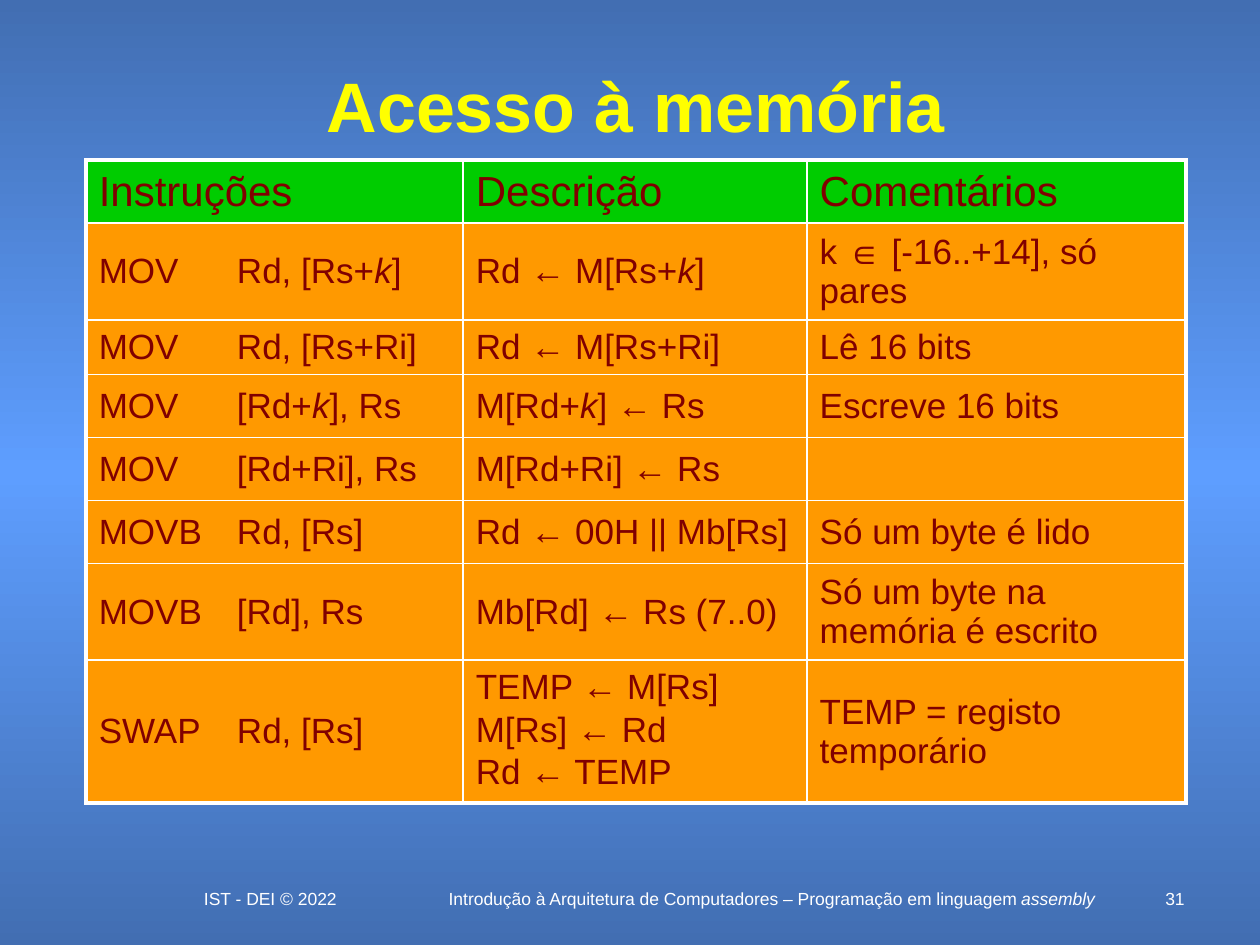
"""Build the slide on memory access instructions."""
import copy
from dataclasses import dataclass

import lxml.etree
import pptx
import pptx.dml.color
import pptx.enum.text
import pptx.oxml.ns
import pptx.util

Pt = pptx.util.Pt
qn = pptx.oxml.ns.qn
Align = pptx.enum.text.PP_ALIGN
Anchor = pptx.enum.text.MSO_ANCHOR


@dataclass(frozen=True)
class Theme:
    font: str = "Arial"
    title: str = "FFFF00"
    footer: str = "FFFFFF"
    table_text: str = "800000"
    header_fill: str = "00CC00"
    body_fill: str = "FF9900"
    border: str = "FFFFFF"
    background: tuple = ("426EB2", "5E9EFF", "426EB2")
    title_size: int = 40
    header_size: int = 24
    body_size: int = 20
    footer_size: int = 10
    outer_line: float = 2.25
    inner_line: float = 1


THEME = Theme()
ITALIC_MARK = "*"
TITLE = ("Acesso à memória", (37.5, 36, 651.5, 48))
FOOTERS = [
    ("Introdução à Arquitetura de Computadores – Programação em linguagem *assembly*",
     (248.5, 504, 385, 18), Align.CENTER),
    ("31", (653.75, 504, 30.25, 12), Align.RIGHT),
    ("IST - DEI © 2022 ", (95.75, 504, 120.25, 18), Align.CENTER),
]
TABLE_LEFT, TABLE_TOP = 49.25, 91.5
COLUMN_WIDTHS = [79, 136.5, 196.5, 216.5]
ROWS = [
    (36, ["Instruções", "", "Descrição", "Comentários"]),
    (55, ["MOV", "Rd, [Rs+*k*]", "Rd ← M[Rs+*k*]", "k ∈ [-16..+14], só pares"]),
    (31.25, ["MOV", "Rd, [Rs+Ri]", "Rd ← M[Rs+Ri]", "Lê 16 bits"]),
    (36, ["MOV", "[Rd+*k*], Rs", "M[Rd+*k*] ← Rs", "Escreve 16 bits"]),
    (36, ["MOV", "[Rd+Ri], Rs", "M[Rd+Ri] ← Rs", ""]),
    (36, ["MOVB", "Rd, [Rs]", "Rd ← 00H || Mb[Rs]", "Só um byte é lido"]),
    (55, ["MOVB", "[Rd], Rs", "Mb[Rd] ← Rs (7..0)", "Só um byte na memória é escrito"]),
    (81.5, ["SWAP", "Rd, [Rs]", "TEMP ← M[Rs]\nM[Rs] ← Rd\nRd ← TEMP",
            "TEMP = registo temporário"]),
]


def rgb(value):
    return pptx.dml.color.RGBColor.from_string(value)


def write(text_frame, text, size, color, align=Align.LEFT, bold=False):
    lines = text.split("\n")
    for index, line in enumerate(lines):
        paragraph = text_frame.add_paragraph() if index else text_frame.paragraphs[0]
        paragraph.alignment = align
        if len(lines) > 1:
            paragraph.line_spacing = 0.9
        if index:
            paragraph.space_before = Pt(size * 0.2)
        paragraph.font.size = Pt(size)
        for part, piece in enumerate(line.split(ITALIC_MARK)):
            if piece:
                run = paragraph.add_run()
                run.text = piece
                run.font.name = THEME.font
                run.font.size = Pt(size)
                run.font.bold = bold
                run.font.italic = part % 2 == 1
                run.font.color.rgb = rgb(color)


def add_text(slide, text, box, size, color, align, bold=False, anchor=Anchor.TOP):
    shape = slide.shapes.add_textbox(*map(Pt, box))
    shape.text_frame.word_wrap = True
    shape.text_frame.vertical_anchor = anchor
    write(shape.text_frame, text, size, color, align, bold)


def paint_background(slide):
    fill = slide.background.fill
    fill.gradient()
    fill.gradient_angle = 90
    first_stop = next(slide.element.iter(qn("a:gs")))
    first_stop.addnext(copy.deepcopy(first_stop))
    for index, (stop, color) in enumerate(zip(fill.gradient_stops, THEME.background)):
        stop.position = index / 2
        stop.color.rgb = rgb(color)


def add_borders(cell, widths):
    properties = cell._tc.get_or_add_tcPr()
    for side, width in widths.items():
        line = lxml.etree.SubElement(properties, qn(f"a:ln{side}"), w=str(Pt(width)))
        if width:
            fill = lxml.etree.SubElement(line, qn("a:solidFill"))
            lxml.etree.SubElement(fill, qn("a:srgbClr"), val=THEME.border)
        else:
            lxml.etree.SubElement(line, qn("a:noFill"))


def add_instruction_table(slide):
    heights = [height for height, _ in ROWS]
    last_row, last_column = len(ROWS) - 1, len(COLUMN_WIDTHS) - 1
    frame = slide.shapes.add_table(
        len(ROWS), len(COLUMN_WIDTHS), Pt(TABLE_LEFT), Pt(TABLE_TOP),
        Pt(sum(COLUMN_WIDTHS)), Pt(sum(heights)))
    table = frame.table
    table.first_row = table.horz_banding = False
    for column, width in zip(table.columns, COLUMN_WIDTHS):
        column.width = Pt(width)
    outer, inner = THEME.outer_line, THEME.inner_line
    vertical_lines = [outer, 0, inner, inner, outer]
    for row, (height, texts) in enumerate(ROWS):
        table.rows[row].height = Pt(height)
        header = row == 0
        for column, text in enumerate(texts):
            cell = table.cell(row, column)
            add_borders(cell, {
                "L": vertical_lines[column],
                "R": inner if header and column == 0 else vertical_lines[column + 1],
                "T": outer if header else inner,
                "B": outer if row == last_row else inner,
            })
            cell.fill.solid()
            cell.fill.fore_color.rgb = rgb(THEME.header_fill if header else THEME.body_fill)
            cell.vertical_anchor = Anchor.MIDDLE
            size = THEME.header_size if header else THEME.body_size
            write(cell.text_frame, text, size, THEME.table_text)
    table.cell(0, 0).merge(table.cell(0, 1))


def main():
    presentation = pptx.Presentation()
    presentation.slide_width, presentation.slide_height = Pt(720), Pt(540)
    slide = presentation.slides.add_slide(presentation.slide_layouts[6])
    paint_background(slide)
    for text, box, align in FOOTERS:
        add_text(slide, text, box, THEME.footer_size, THEME.footer, align)
    text, box = TITLE
    add_text(slide, text, box, THEME.title_size, THEME.title, Align.CENTER, True, Anchor.MIDDLE)
    add_instruction_table(slide)
    presentation.save("out.pptx")


if __name__ == "__main__":
    main()
